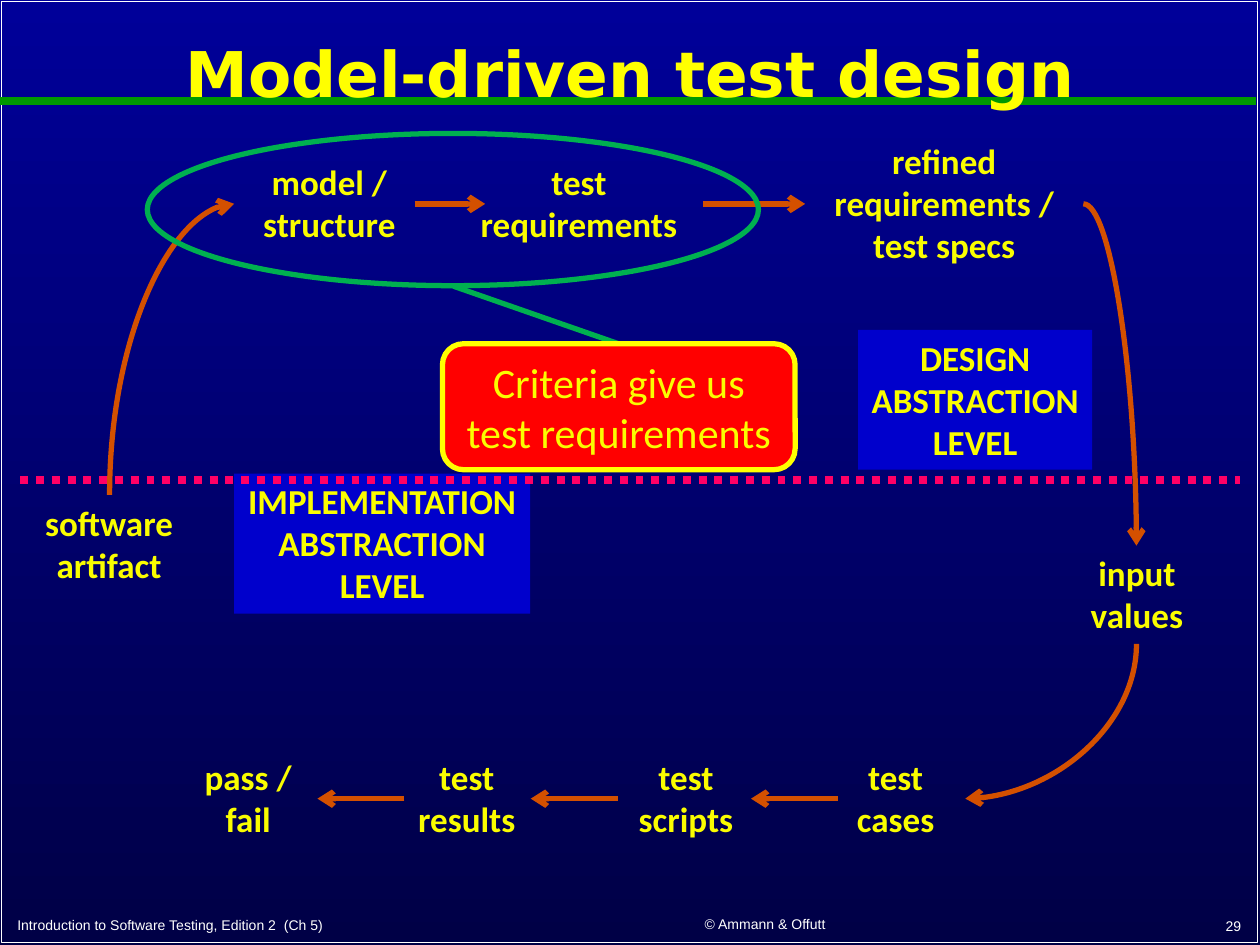
from typing import NamedTuple

from lxml.etree import SubElement
from pptx import Presentation
from pptx.dml.color import RGBColor
from pptx.enum.dml import MSO_LINE_DASH_STYLE as Dash
from pptx.enum.shapes import MSO_CONNECTOR as Link, MSO_SHAPE as Preset
from pptx.enum.text import MSO_ANCHOR as Anchor, PP_ALIGN as Align
from pptx.oxml.ns import qn
from pptx.util import Cm, Pt

COLOURS = {
    "sky": "000099", "depth": "000046", "white": "FFFFFF", "title": "FFFF00",
    "rule": "009900", "text": "FAFD00", "flow": "D45000", "level": "0000CC",
    "divider": "FF0066", "criteria": "00B050", "callout": "FF0000",
}
TOP_ROW, BOTTOM_ROW = 3.12, 15.11    # tops of the two label rows
TOP_FLOW, BOTTOM_FLOW = 4.11, 16.1   # heights of the arrows in those rows


class Area(NamedTuple):
    left: float
    top: float
    width: float
    height: float = 1.96


class Label(NamedTuple):
    text: str
    area: Area


class Footer(NamedTuple):
    text: str
    area: Area
    align: Align


class Route(NamedTuple):
    x1: float
    y1: float
    x2: float
    y2: float


class Curve(NamedTuple):
    route: Route
    starts_vertical: bool


LABELS = [
    Label("software artifact", Area(0.28, 9.98, 3.84)),
    Label("model / structure", Area(4.72, TOP_ROW, 3.84)),
    Label("test requirements", Area(9.17, TOP_ROW, 5)),
    Label("refined requirements / test specs", Area(16.23, 2.69, 5.61, 2.82)),
    Label("input values", Area(21, 11, 3.84)),
    Label("test cases", Area(16.66, BOTTOM_ROW, 2.79)),
    Label("test scripts", Area(12.24, BOTTOM_ROW, 3.18)),
    Label("test results", Area(7.82, BOTTOM_ROW, 3.18)),
    Label("pass / fail", Area(3.43, BOTTOM_ROW, 3.15)),
]
LEVELS = [
    Label("IMPLEMENTATION\nABSTRACTION\nLEVEL", Area(4.72, 9.55, 5.97, 2.82)),
    Label("DESIGN\nABSTRACTION\nLEVEL", Area(17.3, 6.65, 4.72, 2.82)),
]
FOOTERS = [
    Footer("Introduction to Software Testing, Edition 2  (Ch 5)",
           Area(0.1, 18.24, 10.67, 0.69), Align.LEFT),
    Footer("© Ammann & Offutt", Area(11.4, 18.21, 8.05, 0.71), Align.CENTER),
    Footer("29", Area(19.99, 18.21, 5.28, 0.74), Align.RIGHT),
]
ARROWS = [
    Route(8.36, TOP_FLOW, 9.78, TOP_FLOW),
    Route(14.17, TOP_FLOW, 16.23, TOP_FLOW),
    *(Route(x, BOTTOM_FLOW, x - 1.75, BOTTOM_FLOW) for x in (8.15, 12.45, 16.89)),
]
CURVES = [
    Curve(Route(2.21, 9.98, 4.72, TOP_FLOW), True),
    Curve(Route(22.91, 12.98, 19.46, BOTTOM_FLOW), True),
    Curve(Route(21.84, TOP_FLOW, 22.91, 11), False),
]


def colour(name: str) -> RGBColor:
    return RGBColor.from_string(COLOURS[name])


def write(shape, text: str, size: float, font: str = "Calibri", ink: str = "text",
          bold: bool = True, align: Align = Align.CENTER,
          anchor: Anchor = Anchor.TOP, wrap: bool = True) -> None:
    frame = shape.text_frame
    frame.text = text
    frame.word_wrap = wrap
    frame.vertical_anchor = anchor
    for para in frame.paragraphs:
        para.alignment = align
        for span in para.runs:
            span.font.name, span.font.size, span.font.bold = font, Pt(size), bold
            span.font.color.rgb = colour(ink)


def add_box(page, area: Area):
    return page.shapes.add_textbox(*map(Cm, area))


def add_panel(page, preset: Preset, area: Area, fill: str = "",
              line: str = "", width: float = 3):
    panel = page.shapes.add_shape(preset, *map(Cm, area))
    panel.shadow.inherit = False
    if fill:
        panel.fill.solid()
        panel.fill.fore_color.rgb = colour(fill)
    else:
        panel.fill.background()
    if line:
        panel.line.color.rgb = colour(line)
        panel.line.width = Pt(width)
    else:
        panel.line.fill.background()
    return panel


def add_line(page, route: Route, ink: str, width: float = 3,
             kind: Link = Link.STRAIGHT):
    line = page.shapes.add_connector(kind, *map(Cm, route))
    line.line.color.rgb = colour(ink)
    line.line.width = Pt(width)
    SubElement(line._element.spPr, qn("a:effectLst"))
    return line


def add_arrow(page, route: Route, kind: Link = Link.STRAIGHT):
    arrow = add_line(page, route, "flow", kind=kind)
    SubElement(arrow.line._get_or_add_ln(), qn("a:tailEnd"), type="arrow")
    return arrow


def add_curve(page, curve: Curve) -> None:
    """Draw a quarter bend; one that starts vertically is turned by 90 degrees."""
    x1, y1, x2, y2 = route = curve.route
    if curve.starts_vertical:
        mid_x, mid_y = (x1 + x2) / 2, (y1 + y2) / 2
        dx, dy = x1 - mid_x, y1 - mid_y
        route = Route(mid_x + dy, mid_y - dx, mid_x - dy, mid_y + dx)
    properties = add_arrow(page, route, Link.CURVE)._element.spPr
    properties.find(qn("a:prstGeom")).set("prst", "curvedConnector2")
    if curve.starts_vertical:
        properties.find(qn("a:xfrm")).set("rot", "5400000")


def main() -> None:
    deck = Presentation()
    deck.slide_width, deck.slide_height = Cm(25.4), Cm(19.05)
    page = deck.slides.add_slide(deck.slide_layouts[6])

    # Background, frame and title rule
    backdrop = page.background.fill
    backdrop.gradient()
    backdrop.gradient_angle = 270
    for stop, name in zip(backdrop.gradient_stops, ("sky", "depth")):
        stop.color.rgb = colour(name)
        stop.position = 0 if name == "sky" else 1
    add_panel(page, Preset.RECTANGLE, Area(0.03, 0.03, 25.32, 18.97),
              line="white", width=1)
    add_line(page, Route(0, 2.03, 25.32, 2.03), "rule", 4.5)

    # Title and footers
    title = add_box(page, Area(0.13, 0.28, 25.15, 2.54))
    write(title, "Model-driven test design", 36, "DejaVu Sans", "title",
          anchor=Anchor.MIDDLE)
    title.text_frame.paragraphs[0].line_spacing = 0.9
    for footer in FOOTERS:
        write(add_box(page, footer.area), footer.text, 8, "Arial", "white",
              bold=False, align=footer.align, anchor=Anchor.BOTTOM)

    # Steps of the process and the flow between them
    for label in LABELS:
        write(add_box(page, label.area), label.text, 20)
    for route in ARROWS:
        add_arrow(page, route)

    # Abstraction levels and the divider
    for level in LEVELS:
        panel = add_panel(page, Preset.RECTANGLE, level.area, "level")
        write(panel, level.text, 20, wrap=False)
    for curve in CURVES:
        add_curve(page, curve)
    divider = add_line(page, Route(0.41, 9.68, 24.99, 9.68), "divider", 4.5)
    divider.line.dash_style = Dash.ROUND_DOT

    # Criteria callout
    add_panel(page, Preset.OVAL, Area(2.97, 2.69, 12.32, 3.07), line="criteria")
    add_line(page, Route(9.14, 5.77, 12.47, 6.93), "criteria")
    callout = add_panel(page, Preset.ROUNDED_RECTANGLE,
                        Area(8.92, 6.93, 7.11, 2.54), "callout", "title")
    write(callout, "Criteria give us test requirements", 24, bold=False,
          anchor=Anchor.MIDDLE)

    deck.save("out.pptx")


if __name__ == "__main__":
    main()
